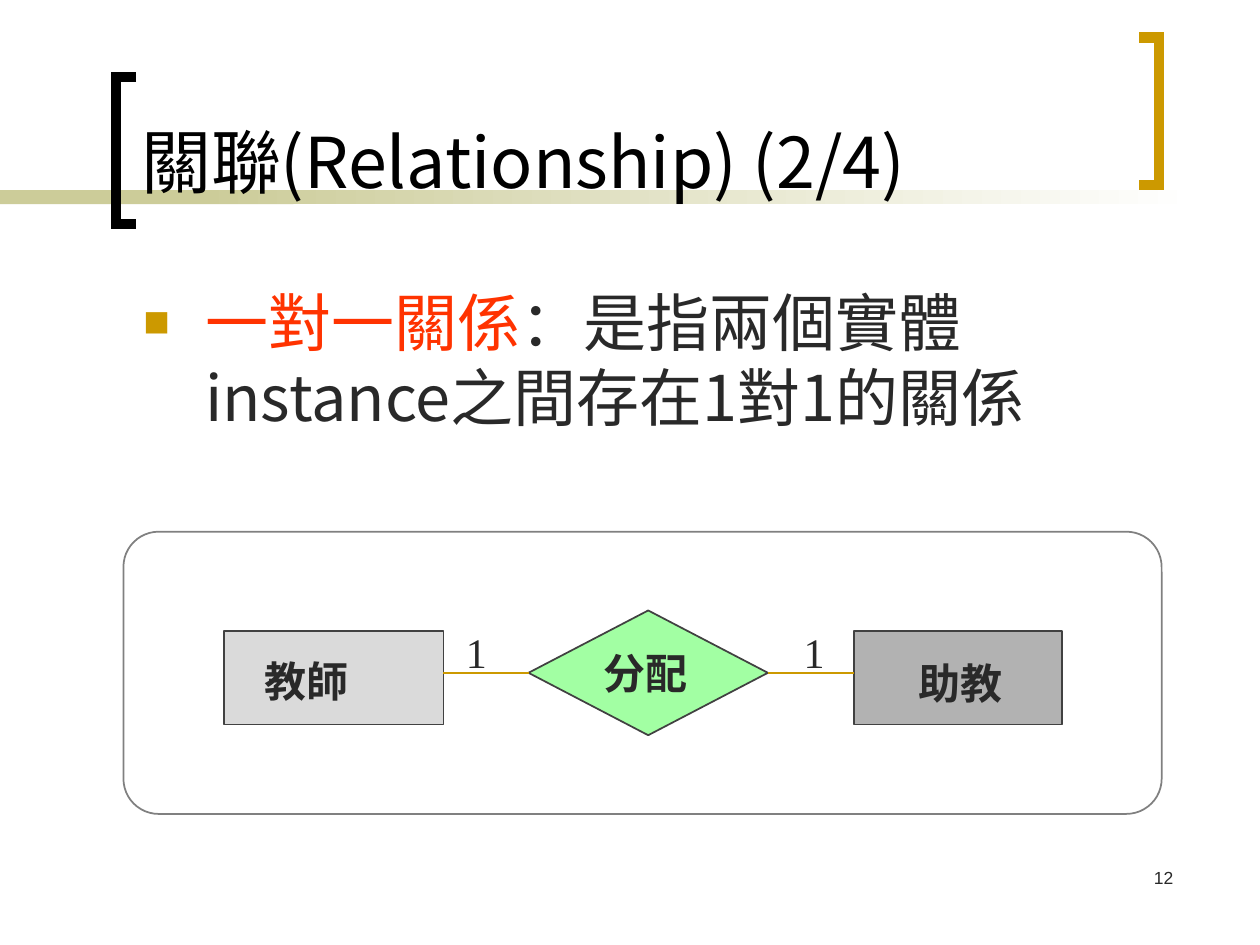
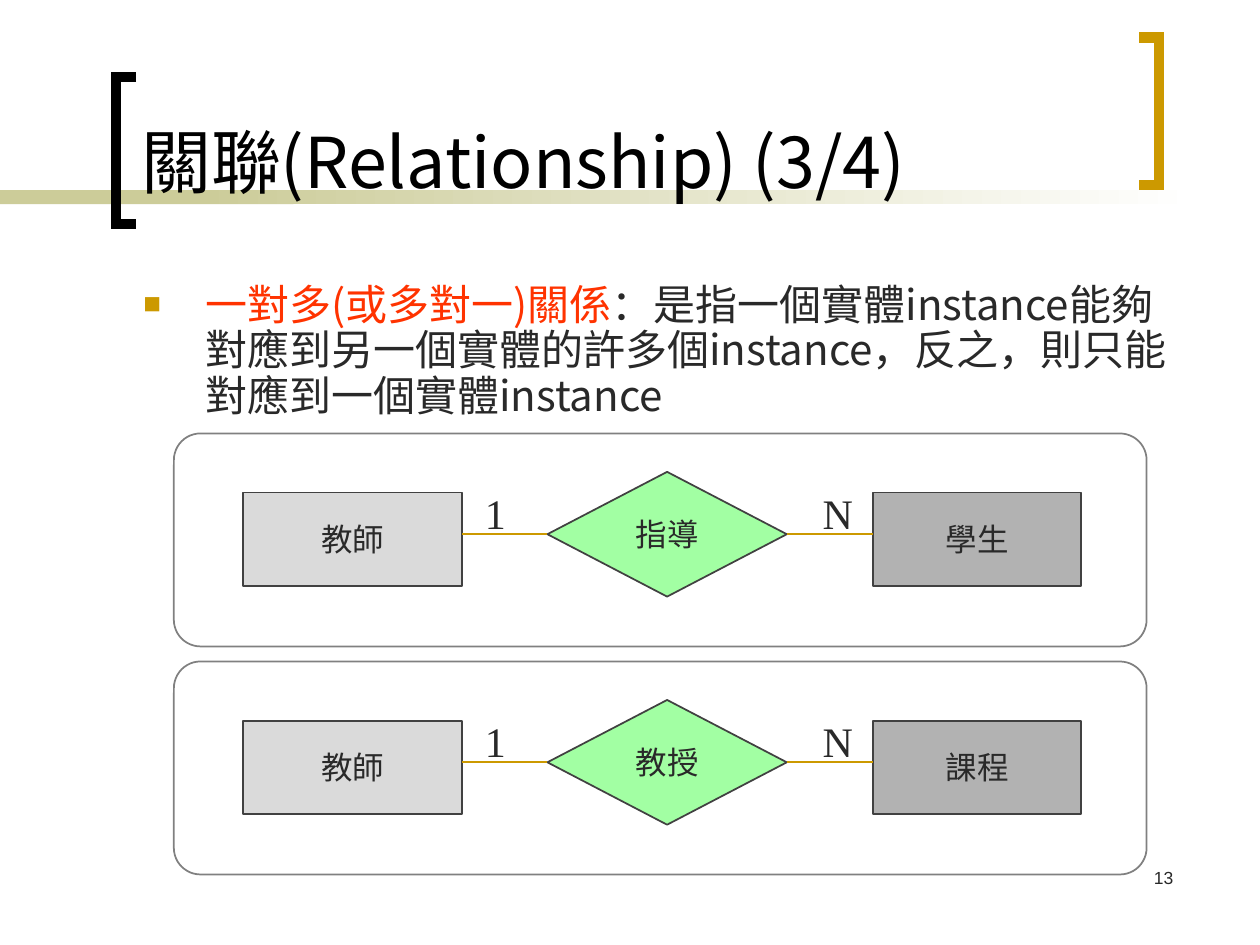
import dataclasses

import lxml.etree
import pptx
import pptx.dml.color
import pptx.enum.shapes
import pptx.enum.text
import pptx.oxml.ns
import pptx.util

SHAPE = pptx.enum.shapes.MSO_SHAPE
ALIGN = pptx.enum.text.PP_ALIGN
ANCHOR = pptx.enum.text.MSO_ANCHOR
TITLE_ONLY = 5


@dataclasses.dataclass(frozen=True)
class Theme:
    """Colours, fonts, type sizes and the grid of 100 columns by 75 rows."""
    columns: int = 100
    rows: int = 75
    width: float = 10
    height: float = 7.5
    ink: str = "292929"
    black: str = "000000"
    gold: str = "CC9900"
    olive: str = "CCCC99"
    white: str = "FFFFFF"
    term: str = "FF3300"
    frame: str = "808080"
    outline: str = "414141"
    left_entity: str = "DADADA"
    right_entity: str = "B2B2B2"
    relation: str = "A2FFA3"
    east_asian: str = "Noto Sans CJK TC"
    title_latin: str = "Noto Sans CJK SC"
    label_latin: str = "Cambria"
    plain_latin: str = "Arial"
    count_latin: str = "Times New Roman"
    title_size: int = 40
    label_size: int = 24
    entity_size: int = 18
    number_size: int = 10
    thin: float = 1
    thick: float = 6


def rgb(value):
    return pptx.dml.color.RGBColor.from_string(value)


def add_xml(parent, tag, **attributes):
    return lxml.etree.SubElement(parent, pptx.oxml.ns.qn(tag), attributes)


class Deck:
    def __init__(self, theme):
        self.theme = theme
        self.presentation = pptx.Presentation()
        self.presentation.slide_width = pptx.util.Inches(theme.width)
        self.presentation.slide_height = pptx.util.Inches(theme.height)
        self.slide = None
        self.shapes = None

    # Grid
    def x(self, column):
        return round(self.presentation.slide_width * column / self.theme.columns)

    def y(self, row):
        return round(self.presentation.slide_height * row / self.theme.rows)

    def box(self, left, top, width, height):
        return self.x(left), self.y(top), self.x(width), self.y(height)

    # Text
    def set_font(self, paragraph, size, latin, color=None, bold=False):
        paragraph.font.size = pptx.util.Pt(size)
        paragraph.font.bold = bold
        paragraph.font.color.rgb = rgb(color or self.theme.ink)
        paragraph.font.name = latin
        for run in paragraph.runs:
            run.font.name = latin
            add_xml(run.font._element, "a:ea", typeface=self.theme.east_asian)

    def text(self, area, words, size, latin, align=ALIGN.LEFT,
             anchor=ANCHOR.TOP, bold=False, wrap=True):
        shape = self.shapes.add_textbox(*self.box(*area))
        self.label(shape, words, size, latin, align, anchor, bold, wrap)

    def label(self, shape, words, size, latin, align, anchor, bold=False, wrap=False):
        frame = shape.text_frame
        frame.word_wrap = wrap
        frame.vertical_anchor = anchor
        paragraph = frame.paragraphs[0]
        paragraph.text = words
        paragraph.alignment = align
        self.set_font(paragraph, size, latin, bold=bold)

    def title(self, words):
        shape = self.slide.shapes.title
        shape.left, shape.top, shape.width, shape.height = self.box(10.2, 1.1, 78.3, 15.5)
        frame = shape.text_frame
        frame.auto_size = pptx.enum.text.MSO_AUTO_SIZE.NONE
        frame.vertical_anchor = ANCHOR.BOTTOM
        paragraph = frame.paragraphs[0]
        paragraph.text = words
        paragraph.alignment = ALIGN.LEFT
        self.set_font(paragraph, self.theme.title_size, self.theme.title_latin,
                      self.theme.black)
        # Bring the title in front of the band
        self.slide.shapes._spTree.append(shape._element)

    def bullet(self, term, meaning, size, line_height, rows):
        shape = self.shapes.add_textbox(*self.box(10.4, 22, 83.8, rows))
        shape.text_frame.word_wrap = True
        paragraph = shape.text_frame.paragraphs[0]
        for words, color in ((term, self.theme.term), (meaning, self.theme.ink)):
            run = paragraph.add_run()
            run.text = words
            run.font.color.rgb = rgb(color)
        self.set_font(paragraph, size, self.theme.title_latin)
        paragraph.line_spacing = pptx.util.Pt(line_height)
        # Square bullet with a hanging indent; it goes before the default run style
        properties = paragraph._p.get_or_add_pPr()
        indent = self.x(4.9)
        properties.set("marL", str(indent))
        properties.set("indent", str(-indent))
        defaults = properties.find(pptx.oxml.ns.qn("a:defRPr"))
        color = add_xml(properties, "a:buClr")
        add_xml(color, "a:srgbClr", val=self.theme.gold)
        add_xml(properties, "a:buSzPct", val="70000")
        add_xml(properties, "a:buFont", typeface=self.theme.plain_latin)
        add_xml(properties, "a:buChar", char="■")
        properties.append(defaults)

    # Shapes and lines
    def block(self, kind, area, fill, line=None):
        shape = self.shapes.add_shape(kind, *self.box(*area))
        shape.shadow.inherit = False
        shape.fill.solid()
        shape.fill.fore_color.rgb = rgb(fill)
        if line:
            shape.line.color.rgb = rgb(line)
            shape.line.width = pptx.util.Pt(self.theme.thin)
        else:
            shape.line.fill.background()
        return shape

    def bracket(self, tip, spine, top, color):
        bottom = top + 11.7
        builder = self.shapes.build_freeform(self.x(tip), self.y(top))
        corners = ((spine, top), (spine, bottom), (tip, bottom))
        builder.add_line_segments(
            [(self.x(column), self.y(row)) for column, row in corners], close=False)
        shape = builder.convert_to_shape()
        shape.shadow.inherit = False
        shape.fill.background()
        shape.line.color.rgb = rgb(color)
        shape.line.width = pptx.util.Pt(self.theme.thick)
        add_xml(shape.line._get_or_add_ln(), "a:miter", lim="800000")

    def link(self, start, end, row):
        connector = self.shapes.add_connector(
            pptx.enum.shapes.MSO_CONNECTOR.STRAIGHT,
            self.x(start), self.y(row), self.x(end), self.y(row))
        connector.line.color.rgb = rgb(self.theme.gold)
        connector.line.width = pptx.util.Pt(self.theme.thin)
        add_xml(connector._element.spPr, "a:effectLst")

    # Slide with the shared band, brackets, title and number
    def add_slide(self, title, number):
        layout = self.presentation.slide_layouts[TITLE_ONLY]
        self.slide = self.presentation.slides.add_slide(layout)
        self.shapes = self.slide.shapes
        theme = self.theme
        self.block(SHAPE.RECTANGLE, (0, 15.1, 23.3, 1.1), theme.olive)
        fade = self.block(SHAPE.RECTANGLE, (15.8, 15.1, 79.2, 1.1), theme.olive)
        fade.fill.gradient()
        fade.fill.gradient_angle = 0
        for stop, color in zip(fade.fill.gradient_stops, (theme.olive, theme.white)):
            stop.color.rgb = rgb(color)
        self.bracket(10.8, 9.2, 6.1, theme.black)
        self.bracket(90.4, 92, 3, theme.gold)
        self.text((73.3, 68.3, 20.8, 5), number, theme.number_size,
                  theme.plain_latin, ALIGN.RIGHT)
        self.title(title)

    # Entity, relation, entity: placed from the left entity and the link's row
    def diagram(self, frame, left, axis, names, counts, label_areas=None):
        theme = self.theme
        self.shapes = self.slide.shapes.add_group_shape().shapes
        panel = self.block(SHAPE.ROUNDED_RECTANGLE, frame, theme.white, theme.frame)
        panel.adjustments[0] = 0.125
        parts = (
            (SHAPE.RECTANGLE, (left, axis - 3.3, 17.4, 7.4), theme.left_entity),
            (SHAPE.DIAMOND, (left + 24.15, axis - 4.95, 19, 9.9), theme.relation),
            (SHAPE.RECTANGLE, (left + 50, axis - 3.3, 16.5, 7.4), theme.right_entity),
        )
        for index, (kind, area, fill) in enumerate(parts):
            shape = self.block(kind, area, fill, theme.outline)
            if label_areas:
                column, row = label_areas[index]
                self.text((left + column, axis + row, 8.7, 5), names[index],
                          theme.label_size, theme.label_latin, ALIGN.CENTER,
                          ANCHOR.MIDDLE, bold=True, wrap=False)
            else:
                self.label(shape, names[index], theme.entity_size,
                           theme.plain_latin, ALIGN.CENTER, ANCHOR.MIDDLE)
        for start, end in ((17.4, 24.15), (43.15, 50)):
            self.link(left + start, left + end, axis)
        for (column, width), count in zip(((18.2, 3.3), (45, 4.2)), counts):
            self.text((left + column, axis - 4.2, width, 5), count,
                      theme.label_size, theme.count_latin)
        self.shapes = self.slide.shapes


def main():
    deck = Deck(Theme())

    # One to one
    deck.add_slide("關聯(Relationship) (2/4)", "12")
    deck.bullet("一對一關係", "：是指兩個實體instance之間存在1對1的關係", 36, 43, 19.8)
    deck.diagram((9.8, 42.2, 82.4, 22.4), 17.8, 53.4, ("教師", "分配", "助教"), "11",
                 label_areas=((2.2, -1.9), (29.1, -2.5), (54.1, -1.7)))

    # One to many
    deck.add_slide("關聯(Relationship) (3/4)", "13")
    deck.bullet("一對多(或多對一)關係",
                "：是指一個實體instance能夠對應到另一個實體的許多個instance，"
                "反之，則只能對應到一個實體instance", 24, 26, 11.9)
    examples = (("教師", "指導", "學生"), ("教師", "教授", "課程"))
    for index, names in enumerate(examples):
        top = 34.4 + 18.1 * index
        deck.diagram((13.8, top, 77.2, 16.9), 19.3, top + 8, names, "1N")

    deck.presentation.save("out.pptx")


if __name__ == "__main__":
    main()
